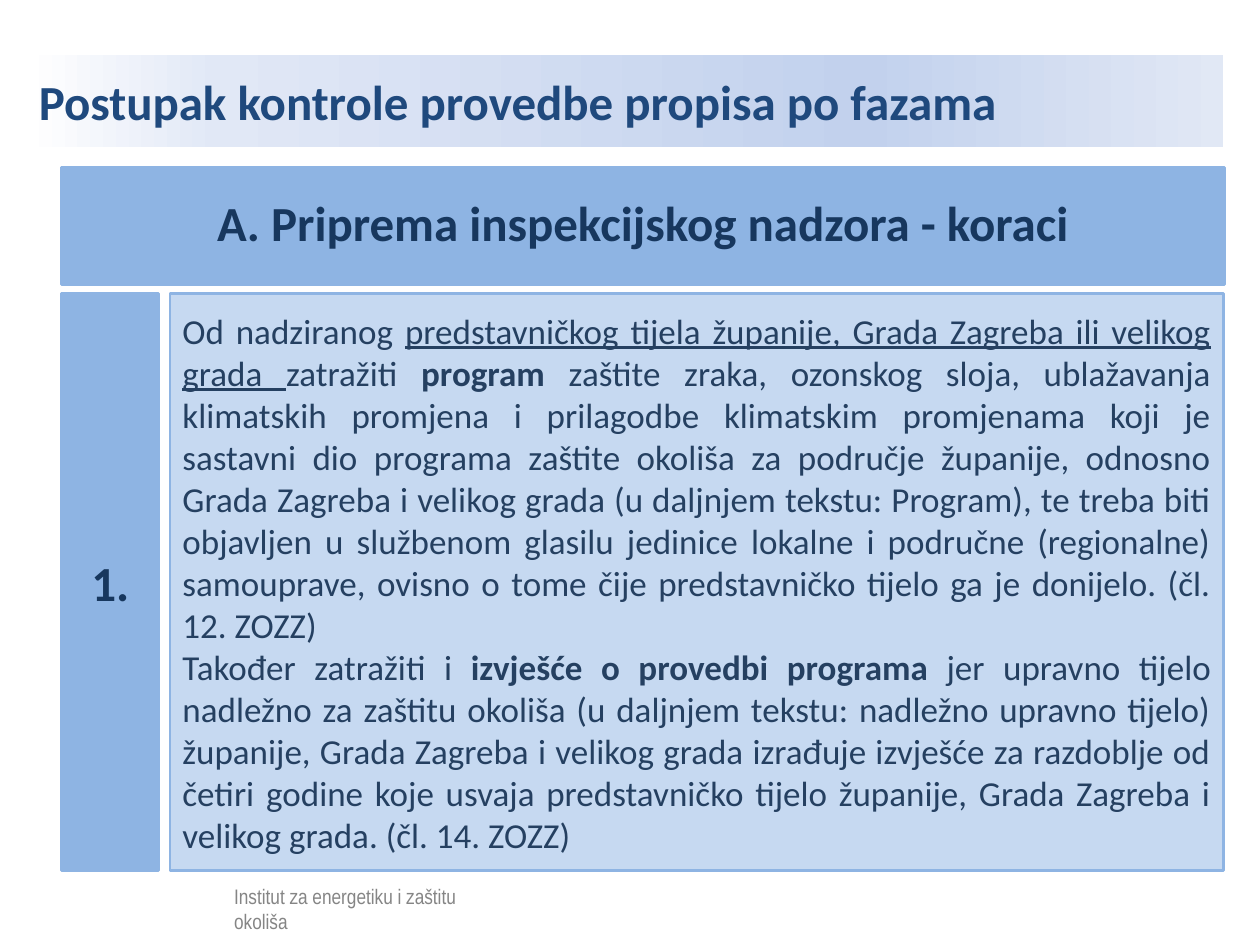
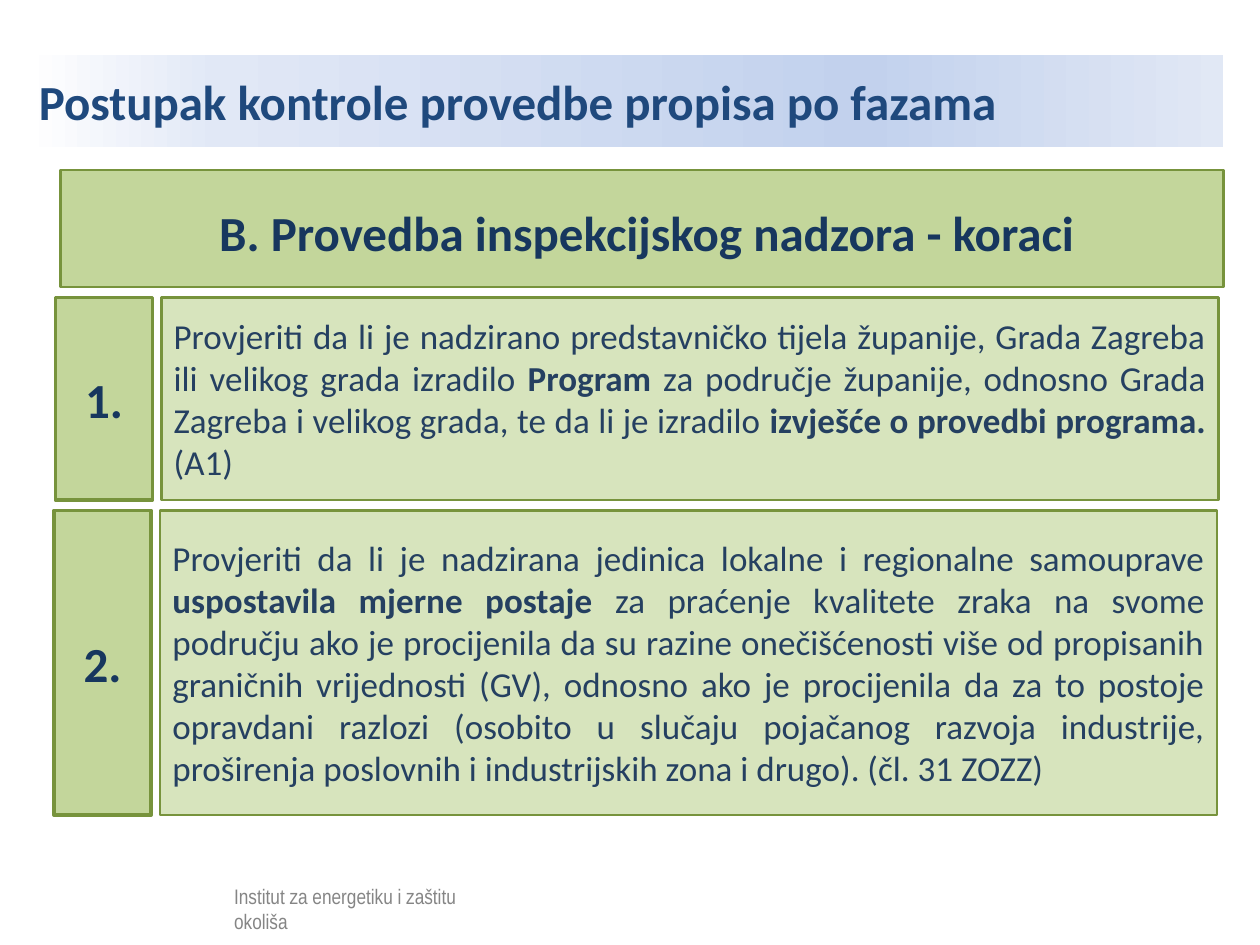
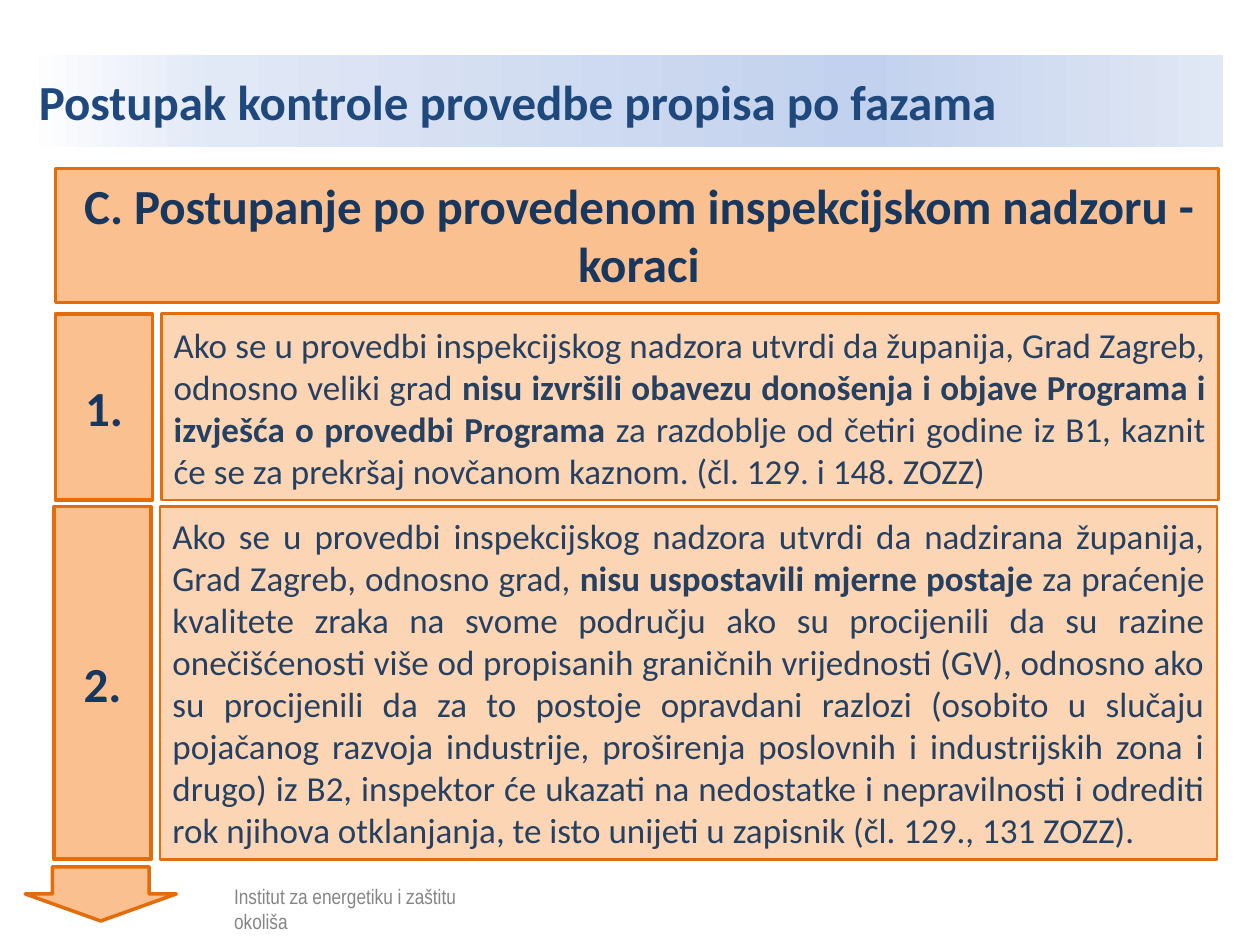
from dataclasses import dataclass

from lxml.etree import SubElement
from pptx import Presentation
from pptx.dml.color import RGBColor
from pptx.enum.shapes import MSO_SHAPE
from pptx.enum.text import MSO_ANCHOR, PP_ALIGN
from pptx.oxml.ns import qn
from pptx.util import Inches, Pt

# Grid: 100 columns by 75 rows over the whole slide
SLIDE_WIDTH, SLIDE_HEIGHT = Inches(10), Inches(7.5)
COLUMN, ROW = SLIDE_WIDTH / 100, SLIDE_HEIGHT / 75

WHITE = RGBColor(0xFF, 0xFF, 0xFF)
BLACK = RGBColor(0x00, 0x00, 0x00)
TITLE_BLUE = RGBColor(0x1F, 0x49, 0x7D)
HEADING_BLUE = RGBColor(0x17, 0x37, 0x5E)
BODY_BLUE = RGBColor(0x25, 0x40, 0x61)
TITLE_STOPS = [(0, WHITE), (16, RGBColor(0xE1, 0xE8, 0xF6)),
               (70, RGBColor(0xC2, 0xD1, 0xED)), (100, RGBColor(0xE1, 0xE8, 0xF5))]

TITLE = "Postupak kontrole provedbe propisa po fazama"
FOOTER = "Institut za energetiku i zaštitu okoliša"
NUMBER_WIDTH = 7.7


@dataclass
class Box:
    left: float
    top: float
    width: float
    height: float

    def emu(self):
        return (round(self.left * COLUMN), round(self.top * ROW),
                round(self.width * COLUMN), round(self.height * ROW))

    def inner(self, left, top, width, height):
        return Box(self.left + left, self.top + top, width, height)


@dataclass
class Theme:
    strong: RGBColor
    light: RGBColor
    line: RGBColor


@dataclass
class Phase:
    theme: Theme
    heading: str
    heading_box: Box
    heading_shift: tuple  # heading text relative to its band
    steps: list  # (row box, paragraphs of runs)
    gap: float = 0.7
    continues: bool = False


BLUE = Theme(RGBColor(0x8E, 0xB4, 0xE3), RGBColor(0xC6, 0xD9, 0xF1), RGBColor(0x8E, 0xB4, 0xE3))
GREEN = Theme(RGBColor(0xC3, 0xD6, 0x9B), RGBColor(0xD7, 0xE4, 0xBD), RGBColor(0x77, 0x93, 0x3C))
ORANGE = Theme(RGBColor(0xFA, 0xC0, 0x90), RGBColor(0xFC, 0xD5, 0xB5), RGBColor(0xE4, 0x6C, 0x0A))

# Runs are (text, style): "b" is bold, "u" is underlined
PHASES = [
    Phase(BLUE, "A. Priprema inspekcijskog nadzora - koraci",
          Box(4.9, 13.3, 92.3, 9.3), (0, 1.5), [
              (Box(4.9, 23.3, 92.2, 45.8), [
                  [("Od nadziranog ", ""),
                   ("predstavničkog tijela županije, Grada Zagreba ili velikog grada ", "u"),
                   ("zatražiti ", ""), ("program", "b"),
                   (" zaštite zraka, ozonskog sloja, ublažavanja klimatskih promjena i "
                    "prilagodbe klimatskim promjenama koji je sastavni dio programa zaštite "
                    "okoliša za područje županije, odnosno Grada Zagreba i velikog grada "
                    "(u daljnjem tekstu: Program), te treba biti objavljen u službenom glasilu "
                    "jedinice lokalne i područne (regionalne) samouprave, ovisno o tome čije "
                    "predstavničko tijelo ga je donijelo. (čl. 12. ZOZZ)", "")],
                  [("Također zatražiti i ", ""), ("izvješće o provedbi programa", "b"),
                   (" jer upravno tijelo nadležno za zaštitu okoliša (u daljnjem tekstu: "
                    "nadležno upravno tijelo) županije, Grada Zagreba i velikog grada izrađuje "
                    "izvješće za razdoblje od četiri godine koje usvaja predstavničko tijelo "
                    "županije, Grada Zagreba i velikog grada. (čl. 14. ZOZZ)", "")]]),
          ], gap=0.9),
    Phase(GREEN, "B. Provedba inspekcijskog nadzora - koraci",
          Box(4.8, 13.5, 92.3, 9.3), (0.4, 2.1), [
              (Box(4.4, 23.6, 92.3, 16.1), [
                  [("Provjeriti da li je nadzirano predstavničko tijela županije, Grada Zagreba "
                    "ili velikog grada izradilo ", ""), ("Program", "b"),
                   (" za područje županije, odnosno Grada Zagreba i velikog grada, te da li je "
                    "izradilo ", ""), ("izvješće o provedbi programa. ", "b"), ("(A1)", "")]]),
              (Box(4.3, 40.5, 92.3, 24.2), [
                  [("Provjeriti da li je nadzirana jedinica lokalne i regionalne samouprave ", ""),
                   ("uspostavila mjerne postaje ", "b"),
                   ("za praćenje kvalitete zraka na svome području ako je procijenila da su "
                    "razine onečišćenosti više od propisanih graničnih vrijednosti (GV), odnosno "
                    "ako je procijenila da za to postoje opravdani razlozi (osobito u slučaju "
                    "pojačanog razvoja industrije, proširenja poslovnih i industrijskih zona i "
                    "drugo). (čl. 31 ZOZZ)", "")]]),
          ]),
    Phase(ORANGE, "C. Postupanje po provedenom inspekcijskom nadzoru - koraci",
          Box(4.4, 13.4, 92.3, 10.6), (0.2, 0), [
              (Box(4.4, 24.9, 92.3, 14.8), [
                  [("Ako se u provedbi inspekcijskog nadzora utvrdi da županija, Grad Zagreb, "
                    "odnosno veliki grad ", ""),
                   ("nisu izvršili obavezu donošenja i objave Programa i izvješća o provedbi "
                    "Programa", "b"),
                   (" za razdoblje od četiri godine iz B1, kaznit će se za prekršaj novčanom "
                    "kaznom. (čl. 129. i 148. ZOZZ)", "")]]),
              (Box(4.3, 40.2, 92.3, 28), [
                  [("Ako se u provedbi inspekcijskog nadzora utvrdi da nadzirana županija, Grad "
                    "Zagreb, odnosno grad, ", ""), ("nisu uspostavili mjerne postaje ", "b"),
                   ("za praćenje kvalitete zraka na svome području ako su procijenili da su "
                    "razine onečišćenosti više od propisanih graničnih vrijednosti (GV), odnosno "
                    "ako su procijenili da za to postoje opravdani razlozi (osobito u slučaju "
                    "pojačanog razvoja industrije, proširenja poslovnih i industrijskih zona i "
                    "drugo) iz B2, inspektor će ukazati na nedostatke i nepravilnosti i odrediti "
                    "rok njihova otklanjanja, te isto unijeti u zapisnik (čl. 129., 131 ZOZZ).",
                    "")]]),
          ], continues=True),
]


def add_text(shape, text, *, size=28, color=HEADING_BLUE, font="Calibri", bold=False,
             align=PP_ALIGN.LEFT, anchor=MSO_ANCHOR.MIDDLE):
    """Write a string, or paragraphs of (text, style) runs, into a shape."""
    frame = shape.text_frame
    frame.word_wrap = True
    frame.vertical_anchor = anchor
    paragraphs = [[(text, "")]] if isinstance(text, str) else text
    for index, runs in enumerate(paragraphs):
        paragraph = frame.add_paragraph() if index else frame.paragraphs[0]
        paragraph.alignment = align
        for content, style in runs:
            run = paragraph.add_run()
            run.text = content
            run.font.size = Pt(size)
            run.font.name = font
            run.font.color.rgb = color
            run.font.bold = bold or style == "b"
            run.font.underline = style == "u"


def add_block(slide, box, fill, line=None, weight=1.5, kind=MSO_SHAPE.RECTANGLE):
    shape = slide.shapes.add_shape(kind, *box.emu())
    shape.shadow.inherit = False
    shape.fill.solid()
    shape.fill.fore_color.rgb = fill
    if line is None:
        shape.line.fill.background()
    else:
        shape.line.color.rgb = line
        shape.line.width = Pt(weight)
    return shape


def add_title(slide, box):
    band = add_block(slide, box, WHITE)
    band.fill.gradient()
    band.fill.gradient_angle = 0
    stops = band.element.spPr.find(".//" + qn("a:gsLst"))
    for stop in list(stops):
        stops.remove(stop)
    for position, color in TITLE_STOPS:
        stop = SubElement(stops, qn("a:gs"), pos=str(position * 1000))
        SubElement(stop, qn("a:srgbClr"), val=str(color))
    add_text(band, TITLE, color=TITLE_BLUE, bold=True)


def add_footer(slide, box):
    label = slide.shapes.add_textbox(*box.inner(13.5, 0.3, 20.9, 4.5).emu())
    add_text(label, FOOTER, size=12, color=BLACK, font="Arial Narrow", anchor=MSO_ANCHOR.TOP)
    # Translucent veil that greys the label
    veil = add_block(slide, box, WHITE)
    color = veil.element.spPr.find(".//" + qn("a:srgbClr"))
    SubElement(color, qn("a:alpha"), val="52000")


def add_heading(slide, box, phase):
    add_block(slide, box, phase.theme.strong, phase.theme.line)
    left, top = phase.heading_shift
    label = slide.shapes.add_textbox(*box.inner(left, top, 92.2, box.height - top).emu())
    add_text(label, phase.heading, bold=True, align=PP_ALIGN.CENTER, anchor=MSO_ANCHOR.TOP)


def add_step(slide, box, number, paragraphs, theme, gap):
    offset = NUMBER_WIDTH + gap
    body = add_block(slide, box.inner(offset, 0, box.width - offset, box.height),
                     theme.light, theme.line)
    add_text(body, paragraphs, size=20, color=BODY_BLUE, align=PP_ALIGN.JUSTIFY)
    tab = add_block(slide, box.inner(0, 0, NUMBER_WIDTH, box.height),
                    theme.strong, theme.line, weight=2)
    add_text(tab, f"{number}.", bold=True, align=PP_ALIGN.CENTER)


def add_continuation_arrow(slide, box, theme):
    arrow = add_block(slide, box, theme.strong, theme.line, weight=2, kind=MSO_SHAPE.DOWN_ARROW)
    arrow.adjustments[0] = 0.64
    arrow.adjustments[1] = 0.5


def add_phase_slide(presentation, phase):
    slide = presentation.slides.add_slide(presentation.slide_layouts[6])
    add_title(slide, Box(2.1, 4.4, 95, 7.3))
    add_footer(slide, Box(4.1, 69.3, 38.2, 4.8))
    add_heading(slide, phase.heading_box, phase)
    for number, (box, paragraphs) in enumerate(phase.steps, start=1):
        add_step(slide, box, number, paragraphs, phase.theme, phase.gap)
    if phase.continues:
        add_continuation_arrow(slide, Box(2, 68.8, 12, 4.3), phase.theme)


def main():
    presentation = Presentation()
    presentation.slide_width, presentation.slide_height = SLIDE_WIDTH, SLIDE_HEIGHT
    for phase in PHASES:
        add_phase_slide(presentation, phase)
    presentation.save("out.pptx")


if __name__ == "__main__":
    main()
